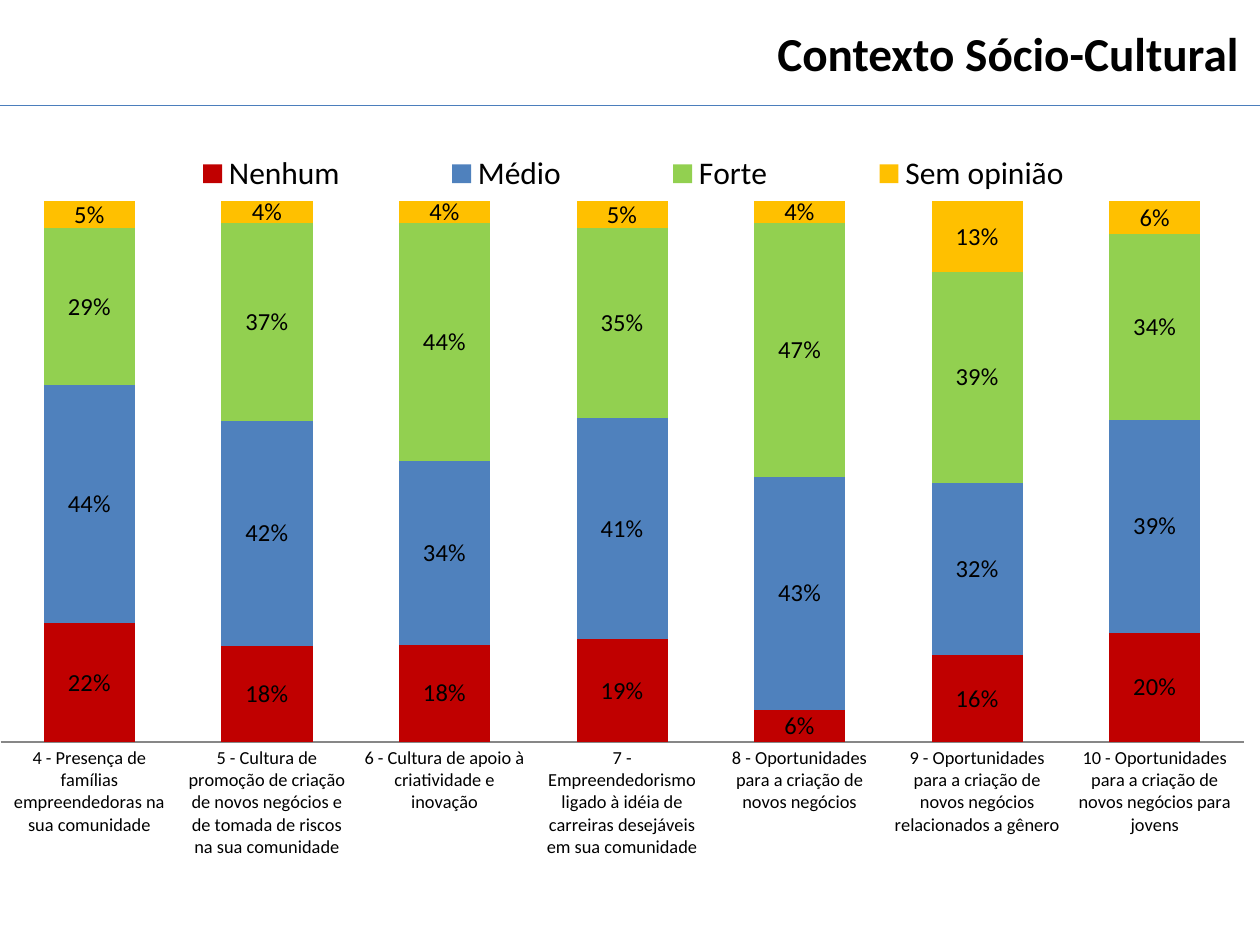
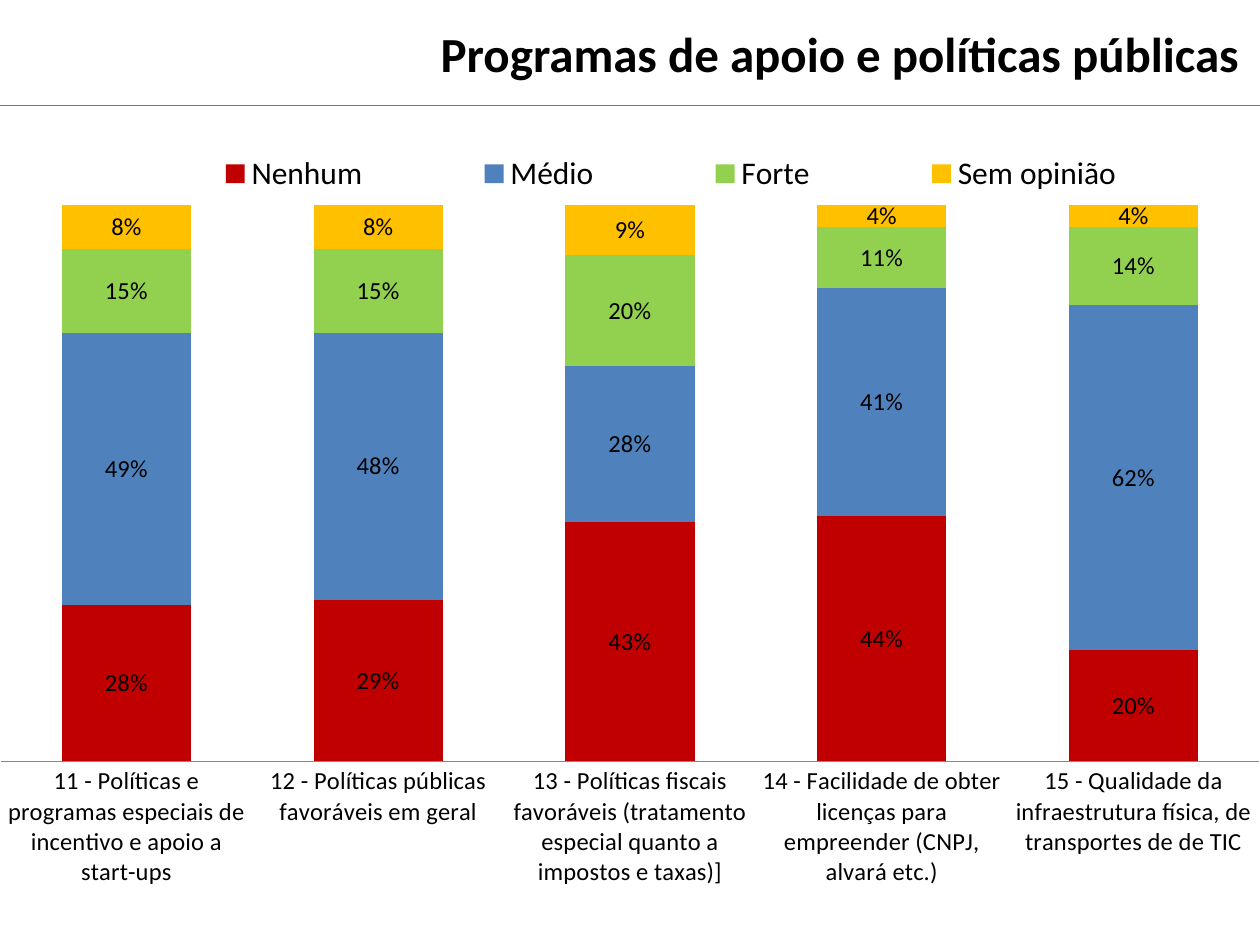
"""Build two survey slides, each with a ruled title and a 100% stacked column chart."""
from dataclasses import dataclass

from lxml import etree
from pptx import Presentation
from pptx import util as u
from pptx.chart.data import CategoryChartData
from pptx.dml.color import RGBColor
from pptx.enum import chart as ch, shapes, text
from pptx.oxml import parse_xml
from pptx.oxml.ns import nsdecls, qn

SLIDE_W, SLIDE_H = u.Inches(10), u.Inches(7.5)
FONT = "Calibri"
BLACK, RULE_BLUE, AXIS_GREY = "000000", "4B7EBC", "878787"
ANSWERS = {"Nenhum": "C00000", "Médio": "4F81BD", "Forte": "92D050", "Sem opinião": "FFC000"}
RULE_Y = 0.112
CHART_TOP = 0.113


@dataclass(frozen=True)
class Area:
    """A rectangle given as shares of its container."""
    x: float
    y: float
    w: float
    h: float


@dataclass(frozen=True)
class Topic:
    """One survey topic: its title, layout and percentages per question."""
    title: str
    title_size: float
    question_size: float
    plot: Area
    legend: Area
    results: dict[str, tuple[int, ...]]


TITLE_AREA = Area(0.114, 0.025, 0.879, 0.062)
CHART_AREA = Area(0, CHART_TOP, 1, 1 - CHART_TOP)

TOPICS = (
    Topic("Contexto Sócio-Cultural", 27, 10.5,
          Area(0, 0.113, 0.987, 0.645), Area(0.08, 0.05, 0.845, 0.06), {
              "4 - Presença de famílias empreendedoras na sua comunidade": (22, 44, 29, 5),
              "5 - Cultura de promoção de criação de novos negócios e de tomada de riscos "
              "na sua comunidade": (18, 42, 37, 4),
              "6 - Cultura de apoio à criatividade e inovação": (18, 34, 44, 4),
              "7 - Empreendedorismo ligado à idéia de carreiras desejáveis "
              "em sua comunidade": (19, 41, 35, 5),
              "8 - Oportunidades para a criação de novos negócios": (6, 43, 47, 4),
              "9 - Oportunidades para a criação de novos negócios "
              "relacionados a gênero": (16, 32, 39, 13),
              "10 - Oportunidades para a criação de novos negócios para jovens": (20, 39, 34, 6),
          }),
    Topic("Programas de apoio e políticas públicas", 28, 14,
          Area(0, 0.117, 1, 0.664), Area(0.09, 0.05, 0.885, 0.06), {
              "11 - Políticas e programas especiais de incentivo e apoio a start-ups": (28, 49, 15, 8),
              "12 - Políticas públicas favoráveis em geral": (29, 48, 15, 8),
              "13 - Políticas fiscais favoráveis (tratamento especial quanto a "
              "impostos e taxas)]": (43, 28, 20, 9),
              "14 - Facilidade de obter licenças para empreender (CNPJ, alvará etc.)": (44, 41, 11, 4),
              "15 - Qualidade da infraestrutura física, de transportes de de TIC": (20, 62, 14, 4),
          }),
)


def rgb(code: str) -> RGBColor:
    """Turn a hex string into a colour."""
    return RGBColor.from_string(code)


def on_slide(area: Area) -> tuple[int, int, int, int]:
    """Convert shares of the slide into lengths."""
    return (int(area.x * SLIDE_W), int(area.y * SLIDE_H),
            int(area.w * SLIDE_W), int(area.h * SLIDE_H))


def style(font, size: float, bold: bool = False) -> None:
    """Apply the shared typeface and text colour."""
    font.name, font.size, font.bold = FONT, u.Pt(size), bold
    font.color.rgb = rgb(BLACK)


def manual_layout(area: Area, inner: bool = False):
    """Return a chart layout element that fixes a part's place."""
    target = '<c:layoutTarget val="inner"/>' if inner else ""
    return parse_xml(
        f'<c:layout {nsdecls("c")}><c:manualLayout>{target}'
        '<c:xMode val="edge"/><c:yMode val="edge"/>'
        f'<c:x val="{area.x}"/><c:y val="{area.y}"/><c:w val="{area.w}"/><c:h val="{area.h}"/>'
        '</c:manualLayout></c:layout>')


def add_heading(slide, topic: Topic) -> None:
    """Place the right-aligned title and the rule beneath it."""
    heading = slide.shapes.title
    heading.left, heading.top, heading.width, heading.height = on_slide(TITLE_AREA)
    frame = heading.text_frame
    frame.auto_size = text.MSO_AUTO_SIZE.NONE
    frame.word_wrap = True
    frame.vertical_anchor = text.MSO_ANCHOR.MIDDLE
    paragraph = frame.paragraphs[0]
    paragraph.alignment = text.PP_ALIGN.RIGHT
    run = paragraph.add_run()
    run.text = topic.title
    style(run.font, topic.title_size, bold=True)

    rule_y = int(RULE_Y * SLIDE_H)
    rule = slide.shapes.add_connector(shapes.MSO_CONNECTOR.STRAIGHT, 0, rule_y, SLIDE_W, rule_y)
    rule.line.color.rgb = rgb(RULE_BLUE)
    rule.line.width = u.Pt(0.75)
    etree.SubElement(rule._element.spPr, qn("a:effectLst"))


def add_results(slide, topic: Topic) -> None:
    """Draw the share of each answer per question."""
    data = CategoryChartData(number_format="0%")
    data.categories = list(topic.results)
    for answer, percentages in zip(ANSWERS, zip(*topic.results.values())):
        data.add_series(answer, [value / 100 for value in percentages])
    chart = slide.shapes.add_chart(
        ch.XL_CHART_TYPE.COLUMN_STACKED_100, *on_slide(CHART_AREA), data).chart
    style(chart.font, 10)
    chart.has_title = False

    chart.has_legend = True
    legend = chart.legend
    legend.position = ch.XL_LEGEND_POSITION.TOP
    legend.include_in_layout = False
    style(legend.font, 18)
    legend._element.find(qn("c:overlay")).addprevious(manual_layout(topic.legend))

    questions, shares = chart.category_axis, chart.value_axis
    questions.major_tick_mark = ch.XL_TICK_MARK.NONE
    questions.format.line.color.rgb = rgb(AXIS_GREY)
    style(questions.tick_labels.font, topic.question_size)
    shares.has_major_gridlines = False
    shares.minimum_scale, shares.maximum_scale = 0, 1
    shares.visible = False

    columns = chart.plots[0]
    columns.gap_width, columns.overlap = 95, 100
    columns.vary_by_categories = False
    for series, color in zip(columns.series, ANSWERS.values()):
        series.format.fill.solid()
        series.format.fill.fore_color.rgb = rgb(color)
        labels = series.data_labels
        labels.show_value = True
        labels.number_format, labels.number_format_is_linked = "0%", False
        style(labels.font, 14)

    plot_area = chart._chartSpace.chart.plotArea
    for automatic in plot_area.findall(qn("c:layout")):
        plot_area.remove(automatic)
    plot_area.insert(0, manual_layout(topic.plot, inner=True))


def main() -> None:
    """Build and save the presentation."""
    deck = Presentation()
    deck.slide_width, deck.slide_height = SLIDE_W, SLIDE_H
    title_only = deck.slide_layouts[5]
    for topic in TOPICS:
        slide = deck.slides.add_slide(title_only)
        add_results(slide, topic)
        add_heading(slide, topic)
    deck.save("out.pptx")


if __name__ == "__main__":
    main()
